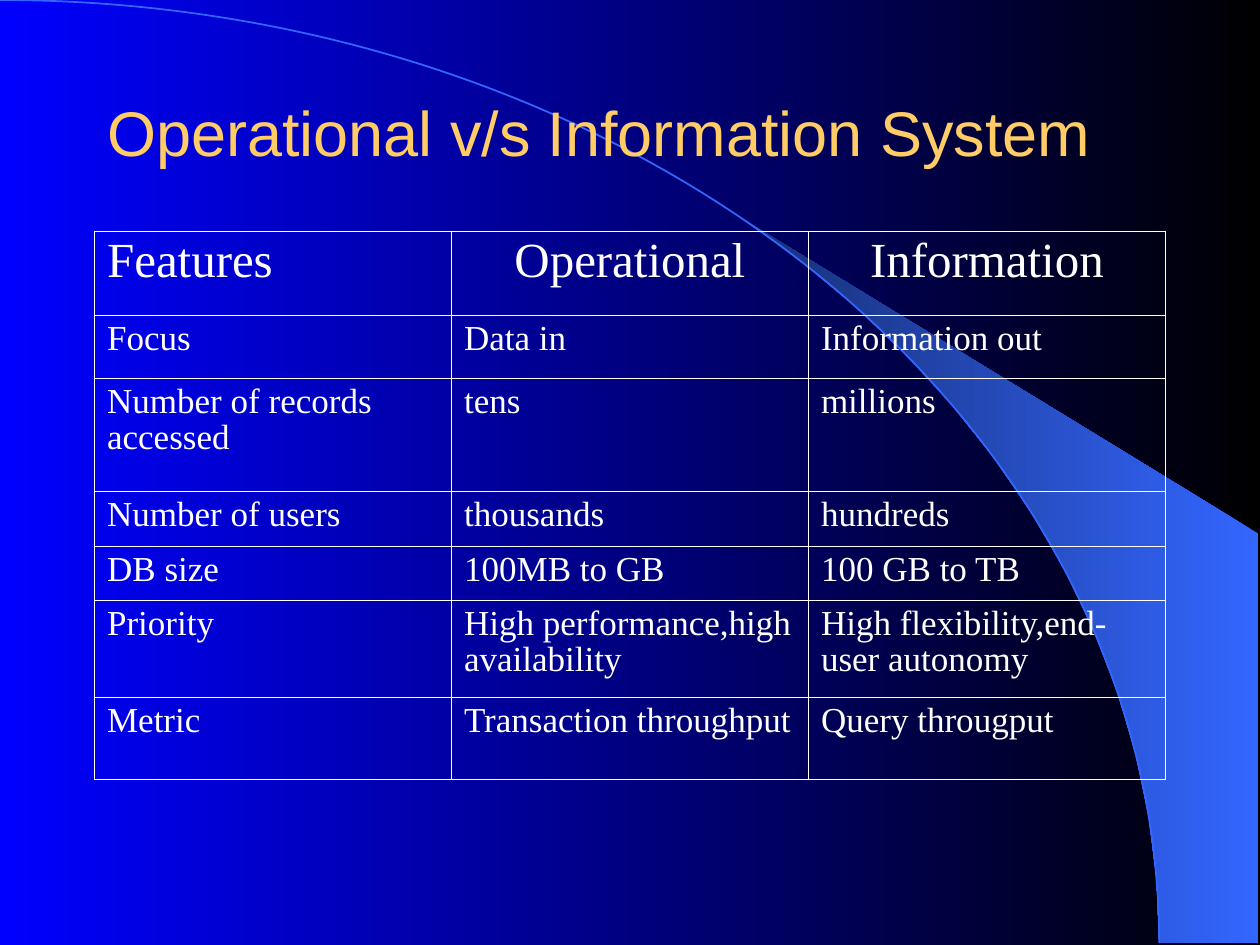
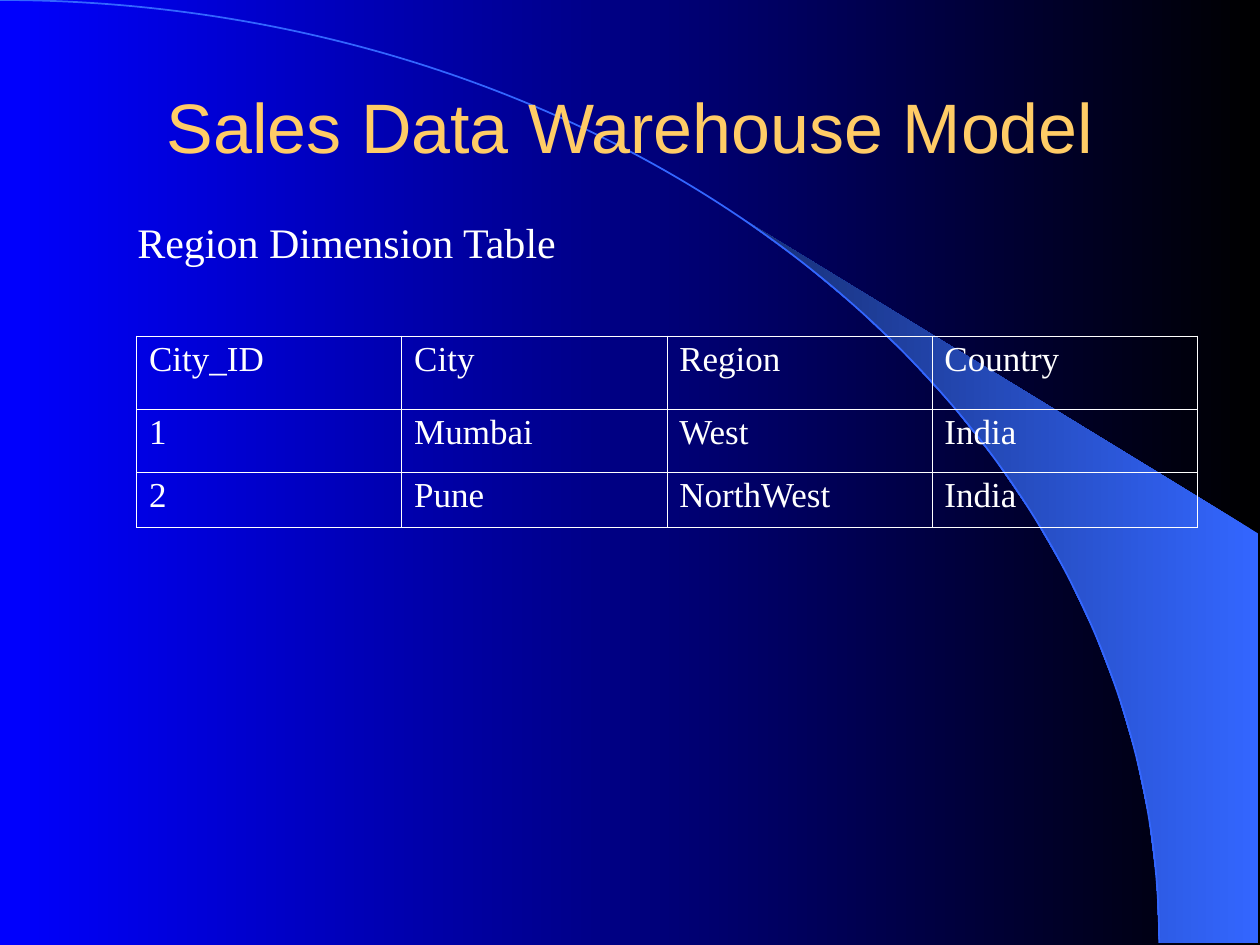
from math import cos, radians, sin

from lxml import etree
from pptx import Presentation
from pptx.dml.color import RGBColor
from pptx.enum.shapes import MSO_SHAPE
from pptx.enum.text import MSO_ANCHOR, MSO_AUTO_SIZE, PP_ALIGN as Align
from pptx.oxml.ns import qn
from pptx.util import Inches, Pt

# Shared style
BLACK = RGBColor(0x00, 0x00, 0x00)
BLUE = RGBColor(0x00, 0x00, 0xFF)
BEAM_BLUE = RGBColor(0x33, 0x66, 0xFF)
BEAM_DARK = RGBColor(0x17, 0x2F, 0x75)
GOLD = RGBColor(0xFF, 0xCC, 0x66)
WHITE = RGBColor(0xFF, 0xFF, 0xFF)
TITLE_FONT = "Arial"
BODY_FONT = "Times New Roman"
OUTER_LINE, INNER_LINE = Pt(0.5), Pt(0.23)

# Grid: 120 columns by 90 rows
COLUMNS, ROWS = 120, 90
ARC_WIDTH, ARC_HEIGHT = 110.4, 89.8
BEAM_RIGHT, BEAM_BOTTOM, BEAM_CORNER = 119.8, 89.8, 50.8
BEAM_START, BEAM_STEPS = 39.8, 13


class Deck:
    def __init__(self):
        self.presentation = Presentation()
        self.presentation.slide_width = Inches(10)
        self.presentation.slide_height = Inches(7.5)
        self.master = self.presentation.slide_master
        self.slide = None
        self.gradient(self.master.background.fill, BLACK, BLUE)

    def x(self, columns):
        return round(self.presentation.slide_width * columns / COLUMNS)

    def y(self, rows):
        return round(self.presentation.slide_height * rows / ROWS)

    def box(self, left, top, width, height):
        return self.x(left), self.y(top), self.x(width), self.y(height)

    def gradient(self, fill, right_color, left_color):
        fill.gradient()
        fill.gradient_angle = 180
        for stop, color in zip(fill.gradient_stops, (right_color, left_color)):
            stop.color.rgb = color

    def add_text(self, paragraph, text, size, color=WHITE, font=BODY_FONT, align=Align.LEFT):
        paragraph.alignment = align
        run = paragraph.add_run()
        run.text = text
        run.font.name = font
        run.font.size = Pt(size)
        run.font.color.rgb = color

    def add_slide(self, title, size, height, align=Align.LEFT):
        self.slide = self.presentation.slides.add_slide(self.presentation.slide_layouts[5])
        shape = self.slide.shapes.title
        shape.left, shape.top, shape.width, shape.height = self.box(9, 8, 102, height)
        frame = shape.text_frame
        frame.auto_size = MSO_AUTO_SIZE.NONE
        frame.vertical_anchor = MSO_ANCHOR.MIDDLE
        self.add_text(frame.paragraphs[0], title, size, GOLD, TITLE_FONT, align)

    def add_backdrop(self):
        """Draw the beam and its arc, then hand them to the slide master."""
        # Beam: its inner edge follows the arc
        step = (90 - BEAM_START) / BEAM_STEPS
        angles = [radians(BEAM_START + step * i) for i in range(BEAM_STEPS + 1)]
        edge = [(ARC_WIDTH * sin(a), ARC_HEIGHT * (1 - cos(a))) for a in angles]
        corners = [(BEAM_RIGHT, BEAM_BOTTOM), (BEAM_RIGHT, BEAM_CORNER)]
        points = [(self.x(column), self.y(row)) for column, row in edge + corners]
        builder = self.slide.shapes.build_freeform(*points[0])
        builder.add_line_segments(points[1:], close=True)
        beam = builder.convert_to_shape()
        self.gradient(beam.fill, BEAM_BLUE, BEAM_DARK)
        beam.line.fill.background()

        # Arc: upper right quarter of an ellipse centred on the left edge
        arc = self.slide.shapes.add_shape(
            MSO_SHAPE.ARC, *self.box(-ARC_WIDTH, 0, 2 * ARC_WIDTH, 2 * ARC_HEIGHT))
        arc.fill.background()
        arc.line.color.rgb = BEAM_BLUE
        arc.line.width = Pt(1)

        tree = self.master.element.cSld.spTree
        for index, shape in enumerate((beam, arc)):
            shape.shadow.inherit = False
            shape.element.nvSpPr.cNvPr.set("id", str(100 + index))
            tree.insert(2 + index, shape.element)

    def add_label(self, text, left, top, width, height):
        label = self.slide.shapes.add_textbox(*self.box(left, top, width, height))
        label.text_frame.word_wrap = False
        self.add_text(label.text_frame.paragraphs[0], text, 24)

    def border(self, cell, edges):
        properties = cell._tc.get_or_add_tcPr()
        for index, (side, outer) in enumerate(edges.items()):
            line = etree.Element(qn(f"a:ln{side}"), w=str(OUTER_LINE if outer else INNER_LINE))
            fill = etree.SubElement(line, qn("a:solidFill"))
            etree.SubElement(fill, qn("a:srgbClr"), val=str(WHITE))
            properties.insert(index, line)

    def add_table(self, records, left, top, width, row_heights, header_size=20,
                  header_align=Align.LEFT):
        last_row, last_column = len(records) - 1, len(records[0]) - 1
        table = self.slide.shapes.add_table(
            last_row + 1, last_column + 1,
            *self.box(left, top, width, sum(row_heights))).table
        table.first_row = table.horz_banding = False
        for row, height in zip(table.rows, row_heights):
            row.height = self.y(height)
        for r, record in enumerate(records):
            for c, text in enumerate(record):
                cell = table.cell(r, c)
                cell.fill.background()
                self.border(cell, {"L": c == 0, "R": c == last_column,
                                   "T": r == 0, "B": r == last_row})
                paragraph = cell.text_frame.paragraphs[0]
                paragraph.line_spacing = 0.93
                self.add_text(paragraph, text, header_size if r == 0 else 20,
                              align=header_align if r == 0 and c > 0 else Align.LEFT)


def main():
    deck = Deck()

    # Slide 1: system comparison
    deck.add_slide("Operational v/s Information System", 36, height=9)
    deck.add_backdrop()
    features = [
        ("Features", "Operational", "Information"),
        ("Focus", "Data in", "Information out"),
        ("Number of records accessed", "tens", "millions"),
        ("Number of users", "thousands", "hundreds"),
        ("DB size", "100MB to GB", "100 GB to TB"),
        ("Priority", "High performance,high availability",
         "High flexibility,end-user autonomy"),
        ("Metric", "Transaction throughput", "Query througput"),
    ]
    deck.add_table(features, 9, 22, 102, [8, 6, 10.8, 5.2, 5.2, 9.2, 7.8],
                   header_size=28, header_align=Align.CENTER)

    # Slide 2: region dimension
    deck.add_slide("Sales Data Warehouse Model", 40, height=8, align=Align.CENTER)
    deck.add_label("Region Dimension Table", 11.9, 20, 42.6, 6)
    regions = [
        ("City_ID", "City", "Region", "Country"),
        ("1", "Mumbai", "West", "India"),
        ("2", "Pune", "NorthWest", "India"),
    ]
    deck.add_table(regions, 13, 32, 101, [7, 6, 5.25])

    deck.presentation.save("out.pptx")


if __name__ == "__main__":
    main()
